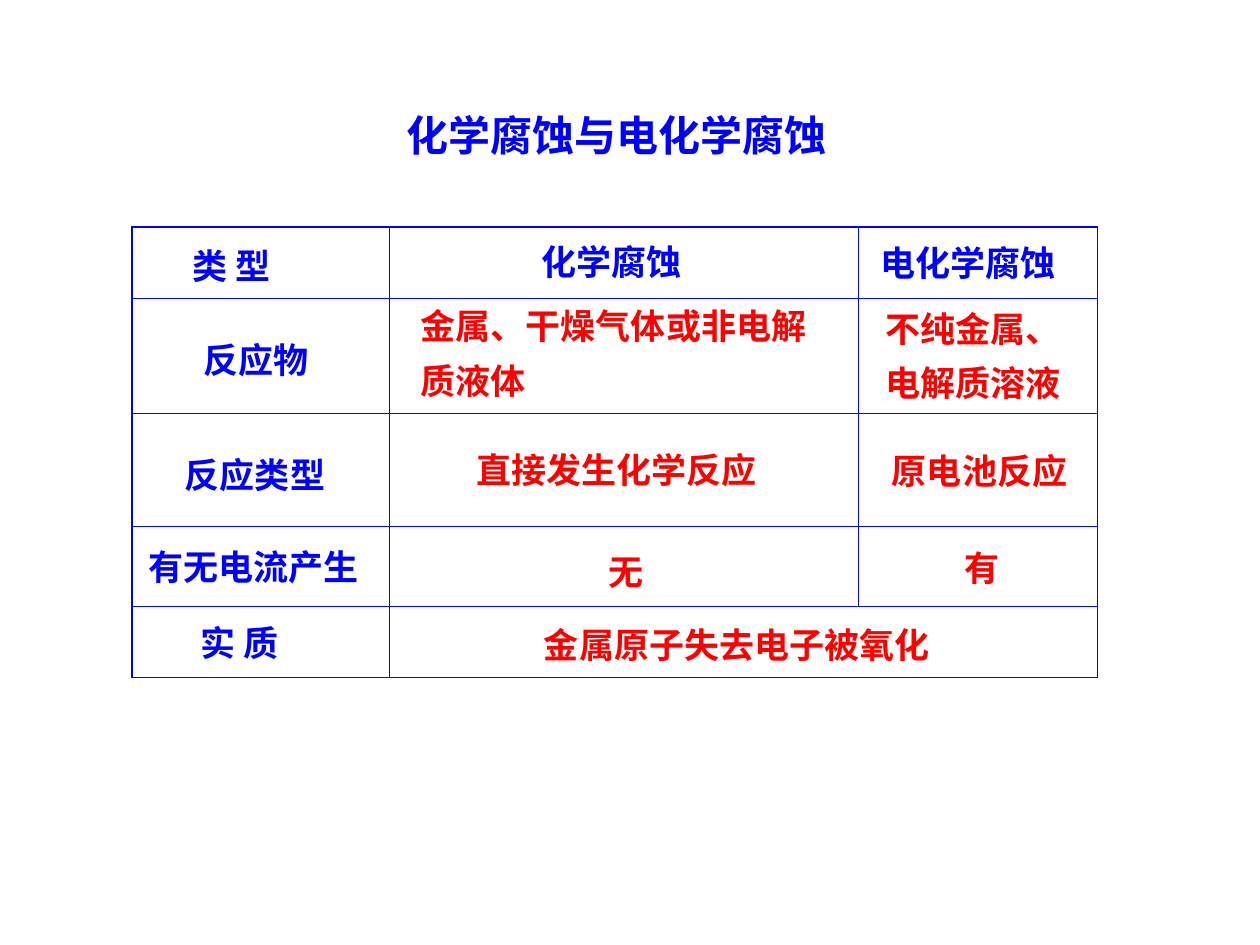
from lxml.etree import SubElement
from pptx import Presentation
from pptx.dml.color import RGBColor
from pptx.enum.text import MSO_AUTO_SIZE
from pptx.oxml.ns import qn
from pptx.util import Pt

COLORS = {"heading": "0000FF", "answer": "FF0000", "border": "0000FF"}
FONT = "Noto Sans CJK SC"
COLUMN_WIDTHS = [147, 268, 136.5]
ROW_HEIGHTS = [40.7, 66, 64.7, 45.6, 40.7]
OUTER_LINE, INNER_LINE = 1.08, 0.45

HEADINGS = [
    ("类 型", 103, 136, 104.5),
    ("化学腐蚀", 302.4, 134, 147),
    ("电化学腐蚀", 496, 134.6, 147.6),
    ("反应物", 109.4, 190, 183),
    ("反应类型", 98.6, 255.6, 183),
    ("有无电流产生", 77.8, 308.2, 183),
    ("实 质", 107.3, 351.4, 183),
]
ANSWERS = [
    ("直接发生化学反应", 265, 252.7, 285),
    ("原电池反应", 502.6, 253.4, 162),
    ("有", 544.3, 308.9, 111.6),
]
SPACED_ANSWERS = [
    ("金属、干燥气体或非电解\n质液体", 233.3, 163.4, 298),
    ("不纯金属、\n电解质溶液", 499, 164.9, 171.4),
    ("无", 340.6, 303.8, 130.3),
    ("金属原子失去电子被氧化", 303.8, 345.6, 257),
]


def write_text(frame, text, size=20, color="heading", spacing=1.0):
    for index, line in enumerate(text.split("\n")):
        paragraph = frame.add_paragraph() if index else frame.paragraphs[0]
        paragraph.line_spacing = spacing
        run = paragraph.add_run()
        run.text = line
        run.font.size = Pt(size)
        run.font.bold = True
        run.font.color.rgb = RGBColor.from_string(COLORS[color])
        run.font.name = FONT
        SubElement(run.font._element, qn("a:ea"), typeface=FONT)


class SlideBuilder:
    def __init__(self, slide):
        self.slide = slide

    def text(self, text, left, top, width, size=20, spacing=1.0, **style):
        height = len(text.split("\n")) * size * 1.22 * spacing + 7.2
        shape = self.slide.shapes.add_textbox(Pt(left), Pt(top), Pt(width), Pt(height))
        frame = shape.text_frame
        frame.word_wrap = True
        frame.auto_size = MSO_AUTO_SIZE.SHAPE_TO_FIT_TEXT
        write_text(frame, text, size=size, spacing=spacing, **style)

    def border(self, cell, side, width):
        properties = cell._tc.get_or_add_tcPr()
        line = SubElement(properties, qn(f"a:ln{side}"), w=str(int(Pt(width))))
        fill = SubElement(line, qn("a:solidFill"))
        SubElement(fill, qn("a:srgbClr"), val=COLORS["border"])

    def grid(self, left, top, widths, heights):
        table = self.slide.shapes.add_table(
            len(heights), len(widths), Pt(left), Pt(top), Pt(sum(widths)), Pt(sum(heights))
        ).table
        table.first_row = False
        table.horz_banding = False
        for column, width in zip(table.columns, widths):
            column.width = Pt(width)
        last_row, last_column = len(heights) - 1, len(widths) - 1
        for row_index, height in enumerate(heights):
            table.rows[row_index].height = Pt(height)
            for column_index in range(len(widths)):
                cell = table.cell(row_index, column_index)
                outer_sides = {
                    "L": column_index == 0,
                    "R": column_index == last_column,
                    "T": row_index == 0,
                    "B": row_index == last_row,
                }
                for side, is_outer in outer_sides.items():
                    self.border(cell, side, OUTER_LINE if is_outer else INNER_LINE)
                cell.fill.background()
        table.cell(last_row, 1).merge(table.cell(last_row, last_column))


def main():
    presentation = Presentation()
    presentation.slide_width, presentation.slide_height = Pt(720), Pt(540)
    builder = SlideBuilder(presentation.slides.add_slide(presentation.slide_layouts[6]))
    builder.grid(75.6, 129.6, COLUMN_WIDTHS, ROW_HEIGHTS)
    builder.text("化学腐蚀与电化学腐蚀", 225.4, 59, 369.4, size=24)
    for heading in HEADINGS:
        builder.text(*heading)
    for answer in ANSWERS:
        builder.text(*answer, color="answer")
    for answer in SPACED_ANSWERS:
        builder.text(*answer, color="answer", spacing=1.3)
    presentation.save("out.pptx")


if __name__ == "__main__":
    main()
